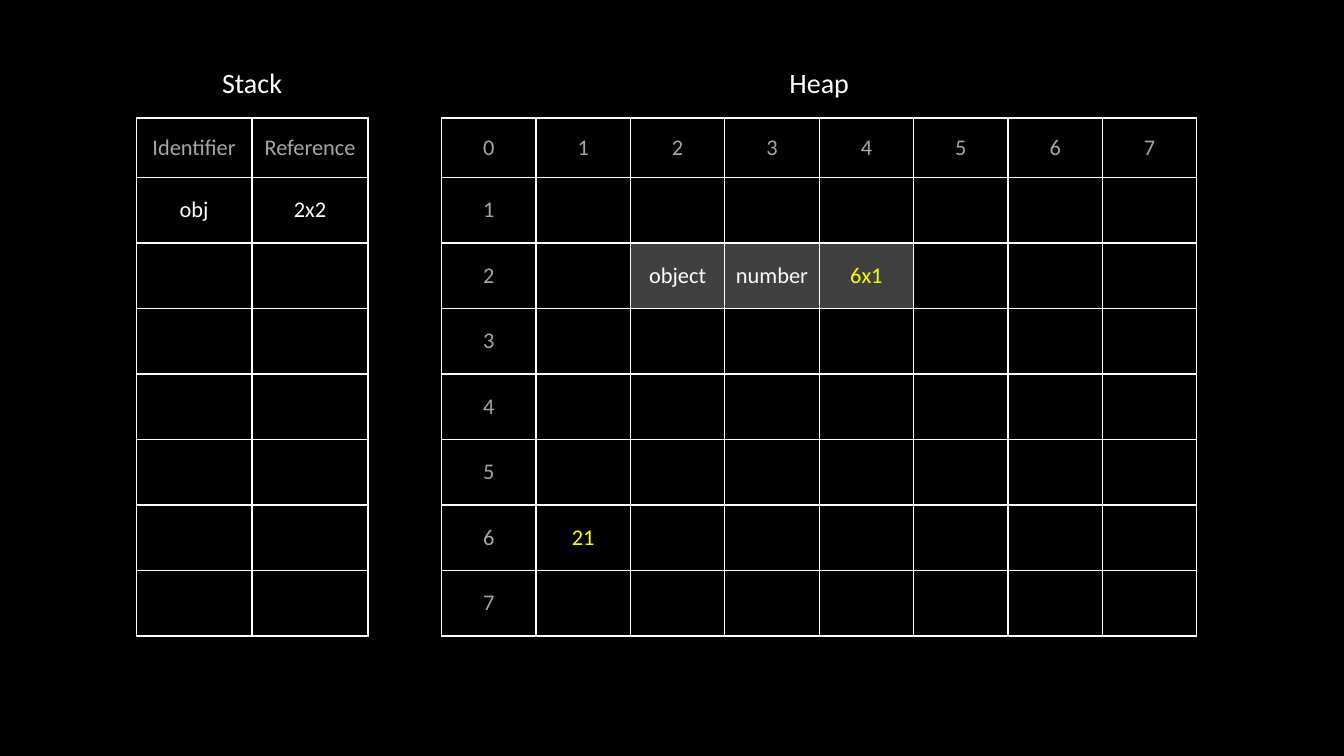
from dataclasses import dataclass

from lxml import etree
from pptx import Presentation, util as u
from pptx.dml.color import RGBColor
from pptx.enum import text
from pptx.oxml.ns import qn


@dataclass(frozen=True)
class Theme:
    font: str = "Calibri"
    background: str = "000000"
    ink: str = "FFFFFF"
    muted: str = "A6A6A6"
    accent: str = "FFFF00"
    block: str = "404040"
    caption_size: int = 20
    cell_size: int = 16
    border: float = 1


theme = Theme()

ROWS = 8
TOP, HEADER_HEIGHT, ROW_HEIGHT = 1.17, 0.59, 0.65
CAPTION_TOP, CAPTION_WIDTH, CAPTION_HEIGHT = 0.6, 1.8, 0.44


def write(frame, words, *, size, color):
    para = frame.paragraphs[0]
    para.alignment = text.PP_ALIGN.CENTER
    span = para.add_run()
    span.text = words
    span.font.name = theme.font
    span.font.size = u.Pt(size)
    span.font.color.rgb = RGBColor.from_string(color)


def add_borders(cell):
    properties = cell._tc.get_or_add_tcPr()
    for side in ("a:lnL", "a:lnR", "a:lnT", "a:lnB"):
        line = etree.SubElement(properties, qn(side), w=str(u.Pt(theme.border)))
        fill = etree.SubElement(line, qn("a:solidFill"))
        etree.SubElement(fill, qn("a:srgbClr"), val=theme.ink)


deck = Presentation()
deck.slide_width, deck.slide_height = u.Inches(13.33), u.Inches(7.5)
page = deck.slides.add_slide(deck.slide_layouts[6])
page.background.fill.solid()
page.background.fill.fore_color.rgb = RGBColor.from_string(theme.background)

# Cells are keyed by (row, column) and hold their words and text colour.
heap_cells = {(0, column): (str(column), theme.muted) for column in range(8)}
heap_cells |= {(row, 0): (str(row), theme.muted) for row in range(ROWS)}
heap_cells |= {
    (2, 2): ("object", theme.ink),
    (2, 3): ("number", theme.ink),
    (2, 4): ("6x1", theme.accent),
    (6, 1): ("21", theme.accent),
}
stack_cells = {
    (0, 0): ("Identifier", theme.muted),
    (0, 1): ("Reference", theme.muted),
    (1, 0): ("obj", theme.ink),
    (1, 1): ("2x2", theme.ink),
}
object_block = {(2, 2), (2, 3), (2, 4)}

memory_areas = [
    ("Heap", 4.38, 7.49, 8, heap_cells, object_block),
    ("Stack", 1.35, 2.3, 2, stack_cells, set()),
]

for caption, left, width, columns, contents, shaded in memory_areas:
    height = HEADER_HEIGHT + (ROWS - 1) * ROW_HEIGHT
    table = page.shapes.add_table(
        ROWS, columns, u.Inches(left), u.Inches(TOP), u.Inches(width), u.Inches(height)
    ).table
    table.first_row = table.horz_banding = False
    for index, row in enumerate(table.rows):
        row.height = u.Inches(ROW_HEIGHT if index else HEADER_HEIGHT)

    for row in range(ROWS):
        for column in range(columns):
            cell = table.cell(row, column)
            cell.vertical_anchor = text.MSO_ANCHOR.MIDDLE
            cell.margin_left = cell.margin_right = u.Inches(0.05)
            add_borders(cell)
            if (row, column) in shaded:
                cell.fill.solid()
                cell.fill.fore_color.rgb = RGBColor.from_string(theme.block)
            else:
                cell.fill.background()
            if (row, column) in contents:
                words, color = contents[row, column]
                write(cell.text_frame, words, size=theme.cell_size, color=color)

    box = page.shapes.add_textbox(
        u.Inches(left + (width - CAPTION_WIDTH) / 2),
        u.Inches(CAPTION_TOP),
        u.Inches(CAPTION_WIDTH),
        u.Inches(CAPTION_HEIGHT),
    )
    box.text_frame.word_wrap = True
    box.text_frame.auto_size = text.MSO_AUTO_SIZE.SHAPE_TO_FIT_TEXT
    write(box.text_frame, caption, size=theme.caption_size, color=theme.ink)

deck.save("out.pptx")
